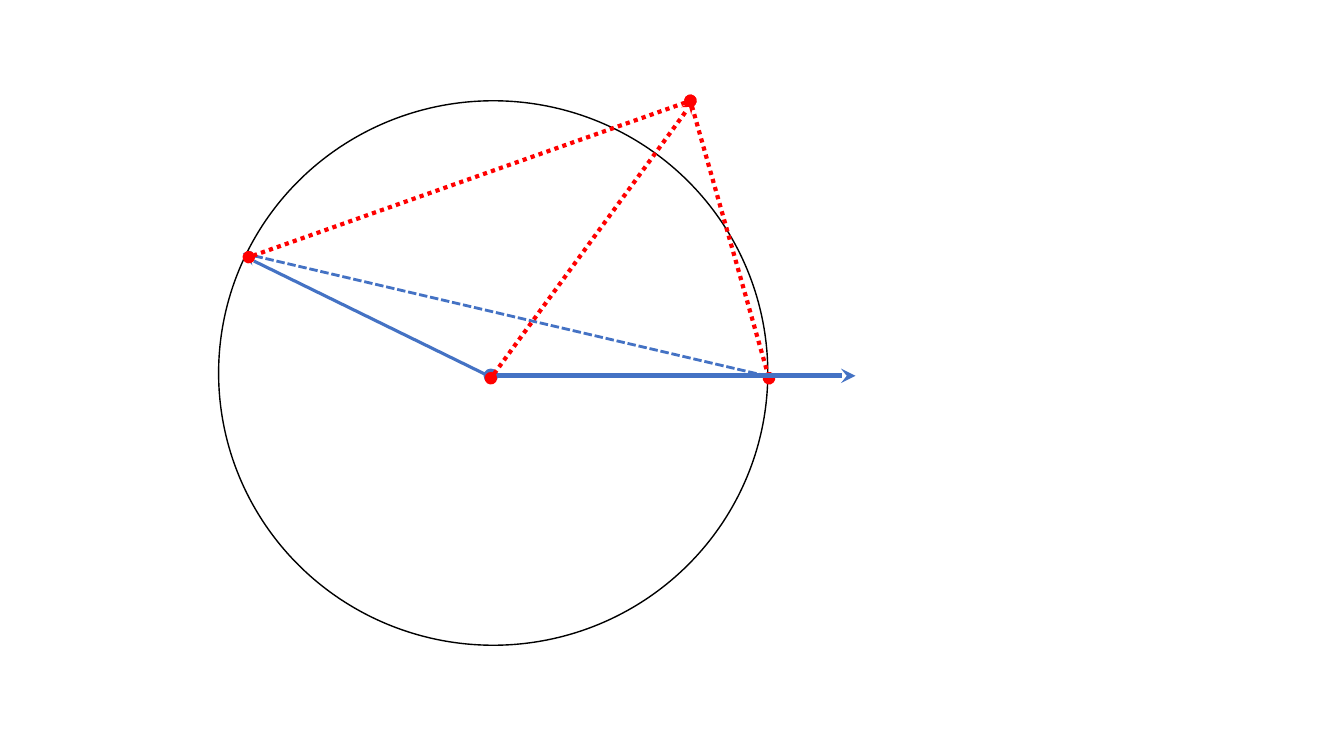
from lxml import etree
from pptx import Presentation
from pptx.dml.color import RGBColor
from pptx.enum.dml import MSO_LINE
from pptx.enum.shapes import MSO_CONNECTOR, MSO_SHAPE
from pptx.oxml.ns import qn
from pptx.util import Cm, Pt

BLUE = RGBColor(0x44, 0x72, 0xC4)
RED = RGBColor(0xFF, 0x00, 0x00)
BLACK = RGBColor(0x00, 0x00, 0x00)
STRAIGHT = MSO_CONNECTOR.STRAIGHT
OVAL = MSO_SHAPE.OVAL
SOLID = MSO_LINE.SOLID
DASHED = MSO_LINE.SQUARE_DOT
DOTTED = MSO_LINE.ROUND_DOT

deck = Presentation()
deck.slide_width = Cm(33.87)
deck.slide_height = Cm(19.05)
page = deck.slides.add_slide(deck.slide_layouts[6])


def add_ray(start, end, color, width, dash, tip):
    """Draw a line with a dot at its start and the given tip at its end."""
    ray = page.shapes.add_connector(
        STRAIGHT, Cm(start[0]), Cm(start[1]), Cm(end[0]), Cm(end[1]))
    ray.line.color.rgb = color
    ray.line.width = Pt(width)
    ray.line.dash_style = dash
    outline = ray.line._get_or_add_ln()
    etree.SubElement(outline, qn("a:headEnd"), type="oval")
    etree.SubElement(outline, qn("a:tailEnd"), type=tip)
    etree.SubElement(ray._element.spPr, qn("a:effectLst"))


# Dashed chord, behind the circle
add_ray((19.43, 9.5), (6.12, 6.38), BLUE, 2, DASHED, "stealth")

# Circle
circle = page.shapes.add_shape(OVAL, Cm(5.51), Cm(2.54), Cm(13.84), Cm(13.72))
circle.shadow.inherit = False
circle.fill.background()
circle.line.color.rgb = BLACK
circle.line.width = Pt(1)

# Radius, axis and dotted lines to the outer point
outer_point = (17.4, 2.54)
add_ray(outer_point, (19.38, 9.53), RED, 3, DOTTED, "oval")
add_ray((12.37, 9.5), (6.2, 6.48), BLUE, 2.25, SOLID, "stealth")
add_ray(outer_point, (6.27, 6.48), RED, 3, DOTTED, "oval")
add_ray((12.37, 9.47), (21.56, 9.47), BLUE, 3.5, SOLID, "stealth")
add_ray((12.37, 9.53), (17.48, 2.54), RED, 3, DOTTED, "stealth")

deck.save("out.pptx")
